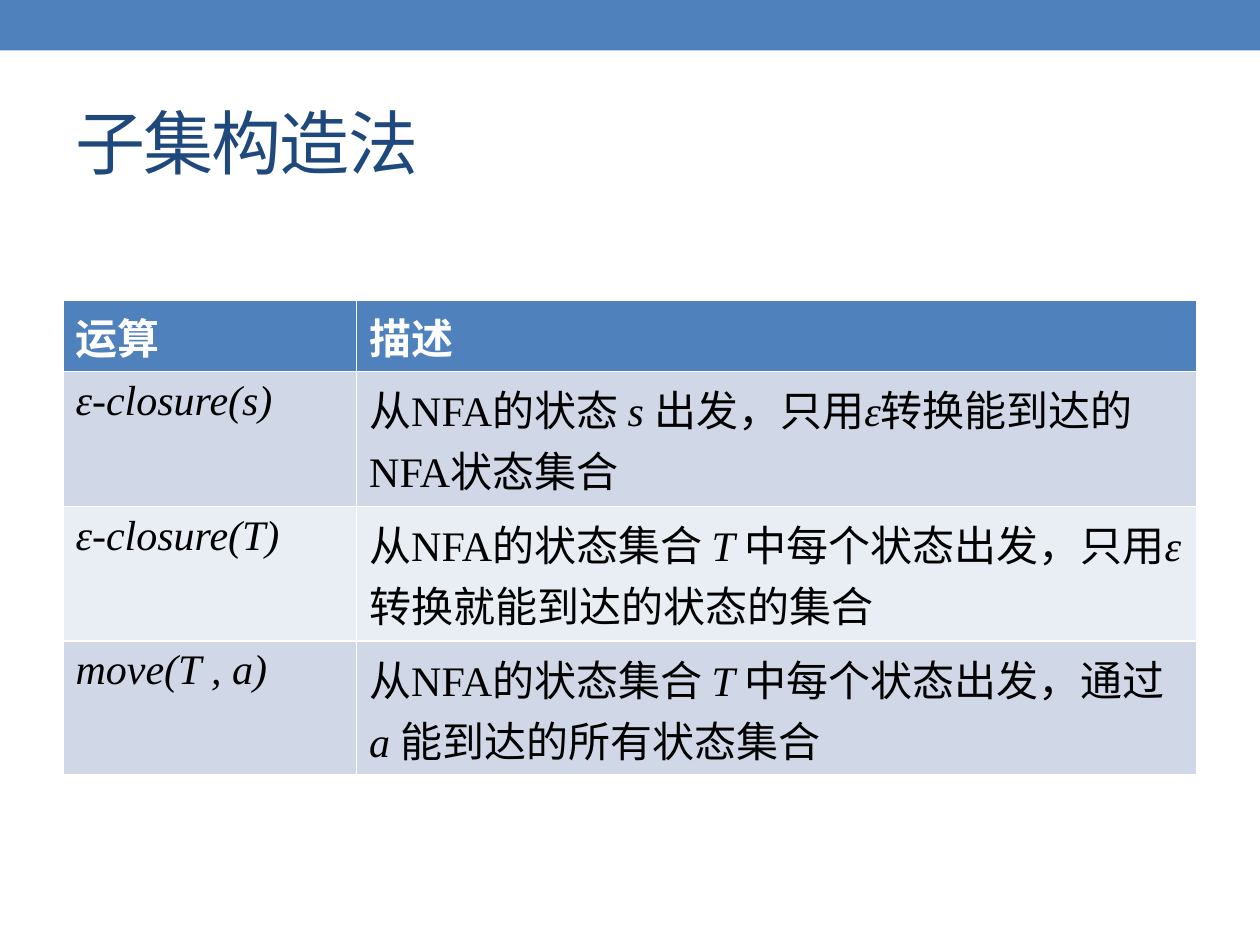
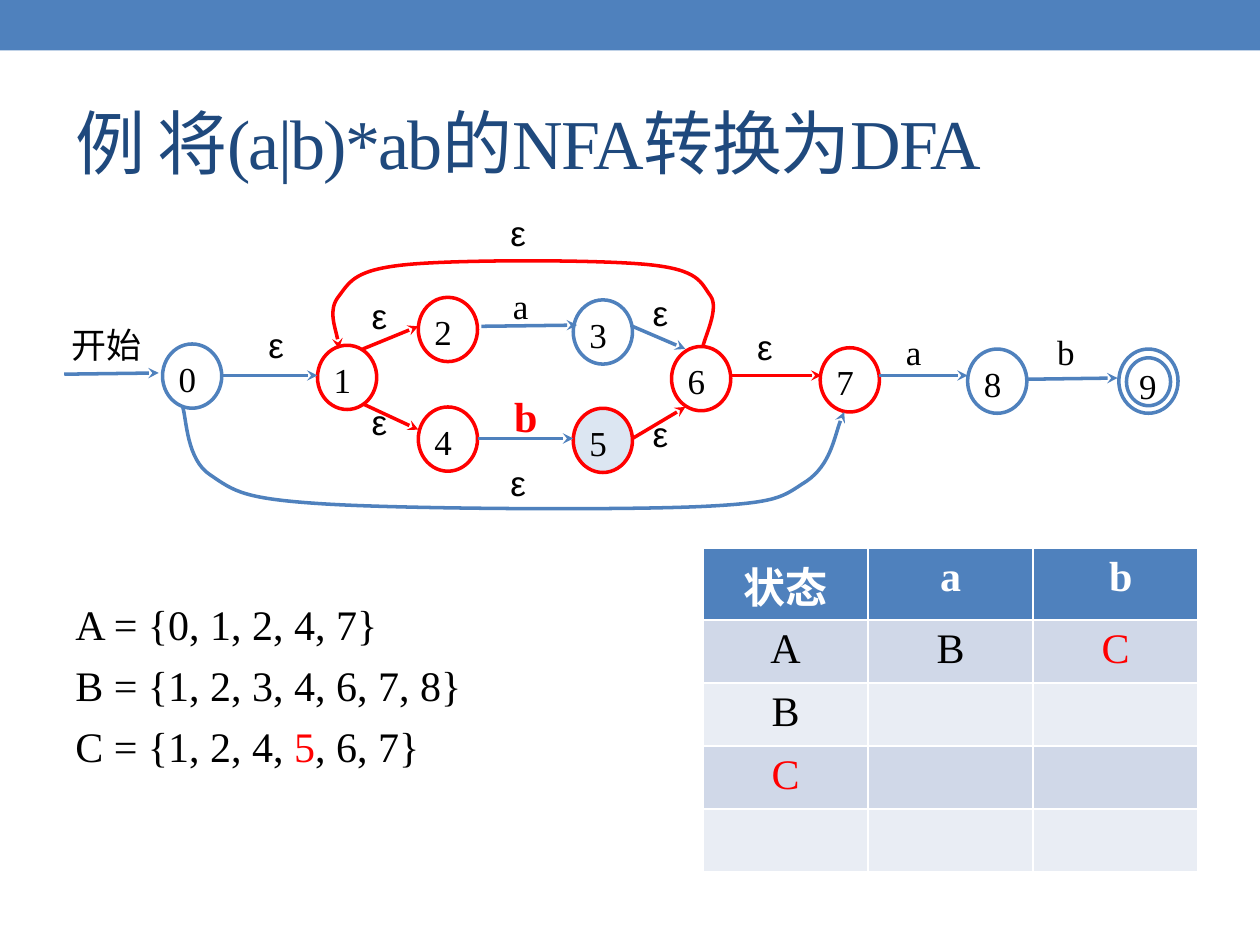
from dataclasses import dataclass
from typing import NamedTuple

from lxml.etree import SubElement
from pptx import Presentation
from pptx.dml.color import RGBColor
from pptx.enum.shapes import MSO_CONNECTOR, MSO_SHAPE
from pptx.enum.text import MSO_ANCHOR, PP_ALIGN
from pptx.oxml.ns import qn
from pptx.util import Inches, Pt


@dataclass(frozen=True)
class Theme:
    blue: RGBColor = RGBColor(0x4F, 0x81, 0xBD)
    navy: RGBColor = RGBColor(0x1F, 0x49, 0x7D)
    red: RGBColor = RGBColor(0xFF, 0, 0)
    black: RGBColor = RGBColor(0, 0, 0)
    white: RGBColor = RGBColor(0xFF, 0xFF, 0xFF)
    active: RGBColor = RGBColor(0xDC, 0xE6, 0xF2)
    odd_row: RGBColor = RGBColor(0xD0, 0xD8, 0xE8)
    even_row: RGBColor = RGBColor(0xE9, 0xED, 0xF4)
    font: str = "Times New Roman"
    symbol_font: str = "Arial"
    title: int = 40
    body: int = 24
    label: int = 20
    line: int = 2


T = Theme()


class State(NamedTuple):
    name: str
    x: float
    y: float
    color: RGBColor = T.blue
    fill: RGBColor | None = None


class Edge(NamedTuple):
    start: tuple[float, float]
    end: tuple[float, float]
    color: RGBColor = T.blue


class Curve(NamedTuple):
    points: list[tuple[float, float]]
    color: RGBColor


class Label(NamedTuple):
    text: str
    x: float
    y: float
    width: float = 0.42
    size: int = T.label
    color: RGBColor = T.black
    bold: bool = False


STATE_W, STATE_H = 0.47, 0.51
STATES = [
    State("0", 1.29, 2.73),
    State("1", 2.52, 2.74, T.red),
    State("2", 3.32, 2.36, T.red),
    State("3", 4.55, 2.38),
    State("4", 3.32, 3.23, T.red),
    State("5", 4.55, 3.24, T.red, T.active),
    State("6", 5.33, 2.75, T.red),
    State("7", 6.51, 2.76, T.red),
    State("8", 7.68, 2.77),
    State("", 8.88, 2.77),
]
EDGES = [
    Edge((0.51, 2.97), (1.26, 2.96)),
    Edge((1.76, 2.98), (2.52, 2.98)),
    Edge((2.88, 2.77), (3.32, 2.59), T.red),
    Edge((2.89, 3.21), (3.32, 3.41), T.red),
    Edge((3.82, 2.59), (4.58, 2.58)),
    Edge((3.79, 3.48), (4.55, 3.48)),
    Edge((5.02, 2.59), (5.44, 2.77)),
    Edge((5.02, 3.48), (5.44, 3.23), T.red),
    Edge((5.8, 2.98), (6.52, 2.98), T.red),
    Edge((6.98, 2.98), (7.68, 2.98)),
    Edge((8.15, 3.01), (8.87, 3)),
]
CURVES = [
    Curve([(1.45, 3.23), (1.48, 3.32), (1.48, 3.65), (1.67, 3.77),
           (1.86, 3.9), (1.93, 3.96), (2.58, 4), (3.23, 4.04),
           (4.93, 4.05), (5.57, 4.02), (6.2, 3.99), (6.21, 3.94),
           (6.4, 3.82), (6.59, 3.69), (6.64, 3.38), (6.7, 3.27)], T.blue),
    Curve([(5.58, 2.75), (5.59, 2.68), (5.71, 2.45), (5.64, 2.35),
           (5.56, 2.24), (5.55, 2.14), (5.14, 2.1), (4.74, 2.06),
           (3.64, 2.06), (3.23, 2.1), (2.82, 2.14), (2.78, 2.23),
           (2.69, 2.35), (2.6, 2.46), (2.69, 2.68), (2.69, 2.77)], T.red),
]
LABELS = [
    Label("开始", 0.51, 2.54, 0.76),
    Label("a", 4.01, 2.23),
    Label("b", 4.02, 3.07, size=T.body, color=T.red, bold=True),
    Label("a", 7.13, 2.59),
    Label("b", 8.33, 2.59),
] + [Label("ε", x, y) for x, y in [
    (2.07, 2.54), (2.89, 2.31), (2.89, 3.15), (5.12, 2.28),
    (5.12, 3.24), (5.95, 2.55), (3.99, 1.65), (3.99, 3.63)]]

OPERATIONS = [
    ["运算", "描述"],
    ["_ε-closure(s)_", "从NFA的状态 _s _出发，只用_ε_转换能到达的NFA状态集合"],
    ["_ε-closure(T)_", "从NFA的状态集合 _T _中每个状态出发，只用_ε_转换就能到达的状态的集合"],
    ["_move(T , a)_", "从NFA的状态集合 _T _中每个状态出发，通过 _a _能到达的所有状态集合"],
]
TRANSITIONS = [
    ["状态", "a", " b"],
    ["A", "B", "_C_"],
    ["B", "", ""],
    ["_C_", "", ""],
    ["", "", ""],
]
SUBSETS = ["A = {0, 1, 2, 4, 7}", "B = {1, 2, 3, 4, 6, 7, 8}", "C = {1, 2, 4,_ 5_, 6, 7}"]


def write(p, text: str, size: int, color: RGBColor, bold: bool = False,
          font: str = T.font, mark: RGBColor | None = None) -> None:
    """Parts between underscores take the mark colour, or italics without one."""
    f = p.font
    f.name, f.size, f.bold = font, Pt(size), bold
    f.color.rgb = color
    for i, part in enumerate(text.split("_")):
        if not part:
            continue
        r = p.add_run()
        r.text = part
        if i % 2 and mark is not None:
            r.font.color.rgb = mark
        elif i % 2:
            r.font.italic = True


def set_insets(tf, left: float, top: float, right: float, bottom: float) -> None:
    tf.margin_left, tf.margin_top = Inches(left), Inches(top)
    tf.margin_right, tf.margin_bottom = Inches(right), Inches(bottom)


def add_text_box(s, x: float, y: float, w: float, h: float):
    tf = s.shapes.add_textbox(Inches(x), Inches(y), Inches(w), Inches(h)).text_frame
    tf.word_wrap = True
    return tf


def add_slide(prs, title: str):
    s = prs.slides.add_slide(prs.slide_layouts[6])
    band = s.shapes.add_shape(MSO_SHAPE.RECTANGLE, 0, 0, prs.slide_width, Inches(0.4))
    band.shadow.inherit = False
    band.fill.solid()
    band.fill.fore_color.rgb = T.blue
    band.line.fill.background()
    tf = add_text_box(s, 0.5, 0.58, 9, 1.08)
    tf.vertical_anchor = MSO_ANCHOR.MIDDLE
    p = tf.paragraphs[0]
    write(p, title, T.title, T.navy)
    for r in p.runs:
        r._r.get_or_add_rPr().set("spc", "-100")
    return s


def add_grid(s, x: float, y: float, cols: list[float], rows: list[float],
             content: list[list[str]], align: PP_ALIGN,
             mark: RGBColor | None = None) -> None:
    table = s.shapes.add_table(len(rows), len(cols), Inches(x), Inches(y),
                               Inches(sum(cols)), Inches(sum(rows))).table
    for col, width in zip(table.columns, cols):
        col.width = Inches(width)
    for i, (row, height) in enumerate(zip(table.rows, rows)):
        row.height = Inches(height)
        header = i == 0
        fill = T.blue if header else T.odd_row if i % 2 else T.even_row
        for cell, text in zip(row.cells, content[i]):
            cell.fill.solid()
            cell.fill.fore_color.rgb = fill
            p = cell.text_frame.paragraphs[0]
            p.alignment = align
            write(p, text, T.body, T.white if header else T.black, bold=header, mark=mark)


def style_line(line, color: RGBColor) -> None:
    line.color.rgb = color
    line.width = Pt(T.line)


def add_arrowhead(shape) -> None:
    ln = shape._element.spPr.find(qn("a:ln"))
    SubElement(ln, qn("a:tailEnd"), type="stealth")


def add_ellipse(s, x: float, y: float, w: float, h: float,
                color: RGBColor, fill: RGBColor | None = None):
    sp = s.shapes.add_shape(MSO_SHAPE.OVAL, Inches(x), Inches(y), Inches(w), Inches(h))
    sp.shadow.inherit = False
    if fill is None:
        sp.fill.background()
    else:
        sp.fill.solid()
        sp.fill.fore_color.rgb = fill
    style_line(sp.line, color)
    tf = sp.text_frame
    tf.vertical_anchor = MSO_ANCHOR.TOP
    tf.paragraphs[0].alignment = PP_ALIGN.LEFT
    return tf


def add_state(s, state: State) -> None:
    tf = add_ellipse(s, state.x, state.y, STATE_W, STATE_H, state.color, state.fill)
    set_insets(tf, 0.06, 0.03, 0.02, 0.05)
    write(tf.paragraphs[0], state.name, T.label, T.black)


def add_edge(s, edge: Edge) -> None:
    ends = [Inches(v) for v in (*edge.start, *edge.end)]
    c = s.shapes.add_connector(MSO_CONNECTOR.STRAIGHT, *ends)
    style_line(c.line, edge.color)
    add_arrowhead(c)
    SubElement(c._element.spPr, qn("a:effectLst"))


def add_curve(s, curve: Curve) -> None:
    start, *rest = [(Inches(x), Inches(y)) for x, y in curve.points]
    builder = s.shapes.build_freeform(*start)
    builder.add_line_segments(rest, close=False)
    sp = builder.convert_to_shape()
    sp.shadow.inherit = False
    sp.fill.background()
    style_line(sp.line, curve.color)
    add_arrowhead(sp)
    segments = list(sp._element.iter(qn("a:lnTo")))
    outline = segments[0].getparent()
    for i in range(0, len(segments), 3):
        bezier = SubElement(outline, qn("a:cubicBezTo"))
        for segment in segments[i:i + 3]:
            bezier.append(segment[0])
            outline.remove(segment)


def add_label(s, label: Label) -> None:
    tf = add_text_box(s, label.x, label.y, label.width, 0.42)
    set_insets(tf, 0.06, 0.03, 0.06, 0.03)
    font = T.symbol_font if label.text == "ε" else T.font
    write(tf.paragraphs[0], label.text, label.size, label.color, label.bold, font)


def build_operations(prs) -> None:
    s = add_slide(prs, "子集构造法")
    add_grid(s, 0.5, 2.38, [2.33, 6.67], [0.57, 1.07, 1.07, 1.06], OPERATIONS, PP_ALIGN.LEFT)


def build_example(prs) -> None:
    s = add_slide(prs, "例 将(a|b)*ab的NFA转换为DFA")
    tf = add_text_box(s, 0.5, 4.7, 5, 2.38)
    for i, subset in enumerate(SUBSETS):
        p = tf.add_paragraph() if i else tf.paragraphs[0]
        p.space_before = Pt(6)
        write(p, subset, T.body, T.black, mark=T.red)
    for state in STATES:
        add_state(s, state)
    tf = add_ellipse(s, 8.94, 2.84, 0.35, 0.38, T.blue)
    set_insets(tf, 0.05, 0, 0.01, 0)
    write(tf.paragraphs[0], "9", T.label, T.black)
    for edge in EDGES:
        add_edge(s, edge)
    for curve in CURVES:
        add_curve(s, curve)
    for label in LABELS:
        add_label(s, label)
    add_grid(s, 5.58, 4.35, [1.31] * 3, [0.57, 0.5, 0.5, 0.47, 0.46],
             TRANSITIONS, PP_ALIGN.CENTER, T.red)


def main() -> None:
    prs = Presentation()
    prs.slide_width, prs.slide_height = Inches(10), Inches(7.5)
    build_operations(prs)
    build_example(prs)
    prs.save("out.pptx")


if __name__ == "__main__":
    main()
